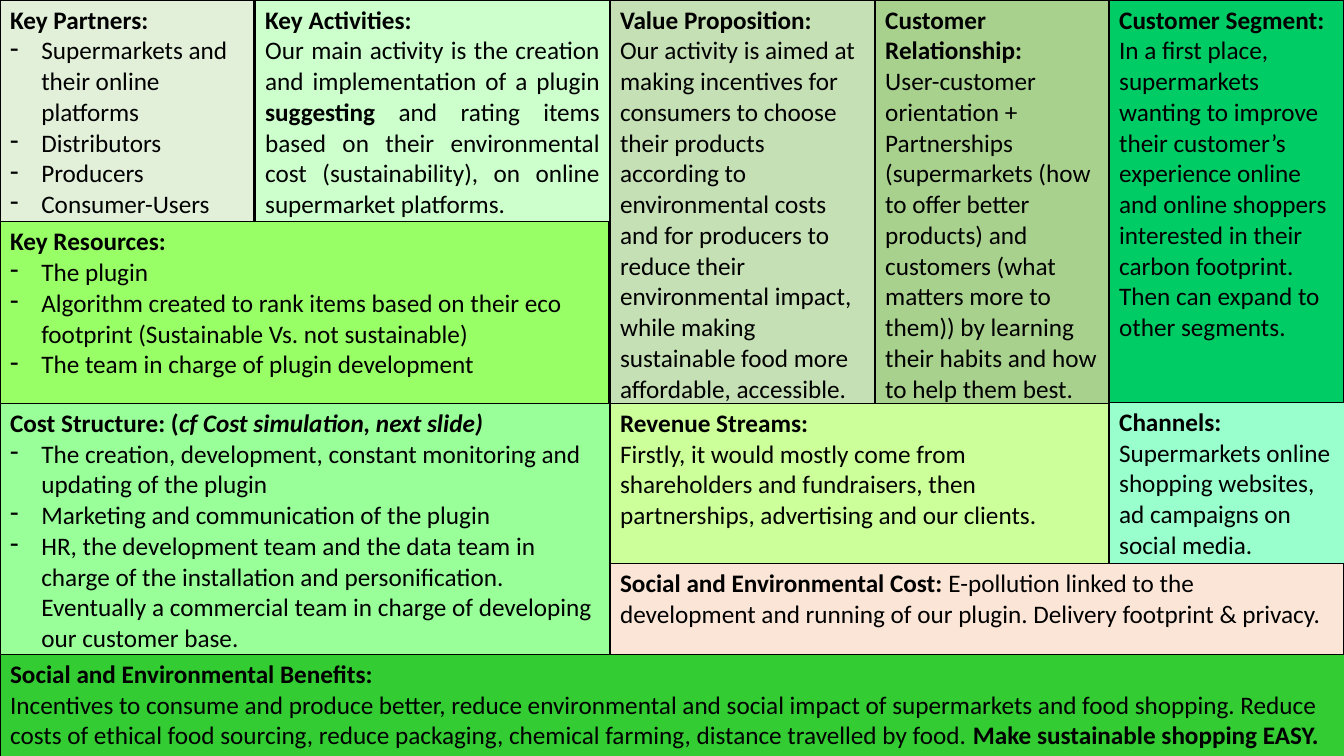
"""Build a one-slide business model canvas for a sustainable shopping plugin."""
from dataclasses import dataclass

from lxml import etree
from pptx import Presentation
from pptx.dml.color import RGBColor
from pptx.enum.text import PP_ALIGN
from pptx.oxml.ns import qn
from pptx.util import Inches, Pt

JUSTIFY = PP_ALIGN.JUSTIFY
LEFT = PP_ALIGN.LEFT
FONT = "Calibri"
TEXT_SIZE = Pt(18)
BORDER_WIDTH = Pt(1)
BULLET_INDENT = Inches(0.31)
BORDER_SIDES = ("a:lnL", "a:lnR", "a:lnT", "a:lnB")
COLORS = {
    "ink": "000000",
    "partners": "E2F0D9",
    "activities": "CCFFCC",
    "proposition": "C5E0B4",
    "resources": "99FF66",
    "relationship": "A9D18E",
    "segment": "00CC66",
    "channels": "99FFCC",
    "costs": "99FF99",
    "revenue": "CCFF99",
    "footprint": "FBE5D6",
    "benefits": "33CC33",
}


@dataclass(frozen=True)
class Phrase:
    text: str
    bold: bool = False
    italic: bool = False


@dataclass(frozen=True)
class Line:
    phrases: tuple
    bulleted: bool = False
    align: int = LEFT


@dataclass(frozen=True)
class Block:
    color: str
    left: float
    top: float
    width: float
    height: float
    lines: tuple


def heading(text: str) -> Line:
    return Line((Phrase(text, bold=True),))


def plain(text: str) -> Line:
    return Line((Phrase(text),))


def bullets(*texts: str) -> tuple:
    return tuple(Line((Phrase(text),), bulleted=True) for text in texts)


BLOCKS = (
    Block("partners", 0, 0, 2.52, 2.2, (
        heading("Key Partners:"),
        *bullets("Supermarkets and their online platforms", "Distributors",
                 "Producers", "Consumer-Users"))),
    Block("activities", 2.53, 0, 3.52, 2.2, (
        heading("Key Activities:"),
        Line((Phrase("Our main activity is the creation and implementation of a plugin "),
              Phrase("suggesting", bold=True),
              Phrase(" and rating items based on their environmental cost "
                     "(sustainability), on online supermarket platforms.")),
             align=JUSTIFY))),
    Block("proposition", 6.05, 0, 2.62, 4, (
        heading("Value Proposition:"),
        plain("Our activity is aimed at making incentives for consumers to choose their "
              "products according to environmental costs and for producers to reduce "
              "their environmental impact, while making sustainable food more "
              "affordable, accessible."))),
    Block("resources", 0, 2.2, 6.04, 1.8, (
        heading("Key Resources:"),
        *bullets("The plugin",
                 "Algorithm created to rank items based on their eco footprint "
                 "(Sustainable Vs. not sustainable)",
                 "The team in charge of plugin development"))),
    Block("relationship", 8.68, 0, 2.33, 4, (
        heading("Customer Relationship:"),
        plain("User-customer orientation + Partnerships"),
        plain("(supermarkets (how to offer better products) and customers (what matters "
              "more to them)) by learning their habits and how to help them best."))),
    Block("segment", 11, 0, 2.33, 3.99, (
        heading("Customer Segment:"),
        plain("In a first place, supermarkets wanting to improve their customer’s "
              "experience online and online shoppers interested in their carbon "
              "footprint. Then can expand to other segments."))),
    Block("channels", 11, 3.99, 2.34, 1.6, (
        heading("Channels:"),
        plain("Supermarkets online shopping websites, ad campaigns on social media."))),
    Block("costs", 0, 4, 6.05, 2.5, (
        Line((Phrase("Cost Structure: (", bold=True),
              Phrase("cf Cost simulation, next slide)", bold=True, italic=True))),
        *bullets("The creation, development, constant monitoring and updating of the plugin",
                 "Marketing and communication of the plugin",
                 "HR, the development team and the data team in charge of the installation "
                 "and personification. Eventually a commercial team in charge of "
                 "developing our customer base."))),
    Block("revenue", 6.05, 4, 4.95, 1.6, (
        heading("Revenue Streams:"),
        plain("Firstly, it would mostly come from shareholders and fundraisers, then "
              "partnerships, advertising and our clients."))),
    Block("footprint", 6.05, 5.59, 7.28, 0.91, (
        Line((Phrase("Social and Environmental Cost: ", bold=True),
              Phrase("E-pollution linked to the development and running of our plugin. "
                     "Delivery footprint & privacy."))),)),
    Block("benefits", 0, 6.49, 13.34, 1.01, (
        heading("Social and Environmental Benefits:"),
        Line((Phrase("Incentives to consume and produce better, reduce environmental and "
                     "social impact of supermarkets and food shopping. Reduce costs of "
                     "ethical food sourcing, reduce packaging, chemical farming, distance "
                     "travelled by food. "),
              Phrase("Make sustainable shopping EASY.", bold=True))))),
)


def add_borders(cell) -> None:
    properties = cell._tc.get_or_add_tcPr()
    for position, side in enumerate(BORDER_SIDES):
        border = etree.Element(qn(side), w=str(BORDER_WIDTH))
        fill = etree.SubElement(border, qn("a:solidFill"))
        etree.SubElement(fill, qn("a:srgbClr"), val=COLORS["ink"])
        properties.insert(position, border)


def add_dash(paragraph) -> None:
    properties = paragraph._p.get_or_add_pPr()
    properties.set("marL", str(BULLET_INDENT))
    properties.set("indent", str(-BULLET_INDENT))
    properties.insert(0, etree.Element(qn("a:buChar"), char="-"))


def write_line(paragraph, line: Line) -> None:
    paragraph.alignment = line.align
    if line.bulleted:
        add_dash(paragraph)
    paragraph.font.name = FONT
    paragraph.font.size = TEXT_SIZE
    paragraph.font.color.rgb = RGBColor.from_string(COLORS["ink"])
    for phrase in line.phrases:
        run = paragraph.add_run()
        run.text = phrase.text
        run.font.bold = phrase.bold
        run.font.italic = phrase.italic


def add_block(slide, block: Block) -> None:
    table = slide.shapes.add_table(
        1, 1, Inches(block.left), Inches(block.top),
        Inches(block.width), Inches(block.height)).table
    table.first_row = False
    table.horz_banding = False
    cell = table.cell(0, 0)
    cell.fill.solid()
    cell.fill.fore_color.rgb = RGBColor.from_string(COLORS[block.color])
    add_borders(cell)
    frame = cell.text_frame
    for position, line in enumerate(block.lines):
        write_line(frame.add_paragraph() if position else frame.paragraphs[0], line)


def main() -> None:
    deck = Presentation()
    deck.slide_width = Inches(13.33)
    deck.slide_height = Inches(7.5)
    canvas = deck.slides.add_slide(deck.slide_layouts[6])
    for block in BLOCKS:
        add_block(canvas, block)
    deck.save("out.pptx")


main()
